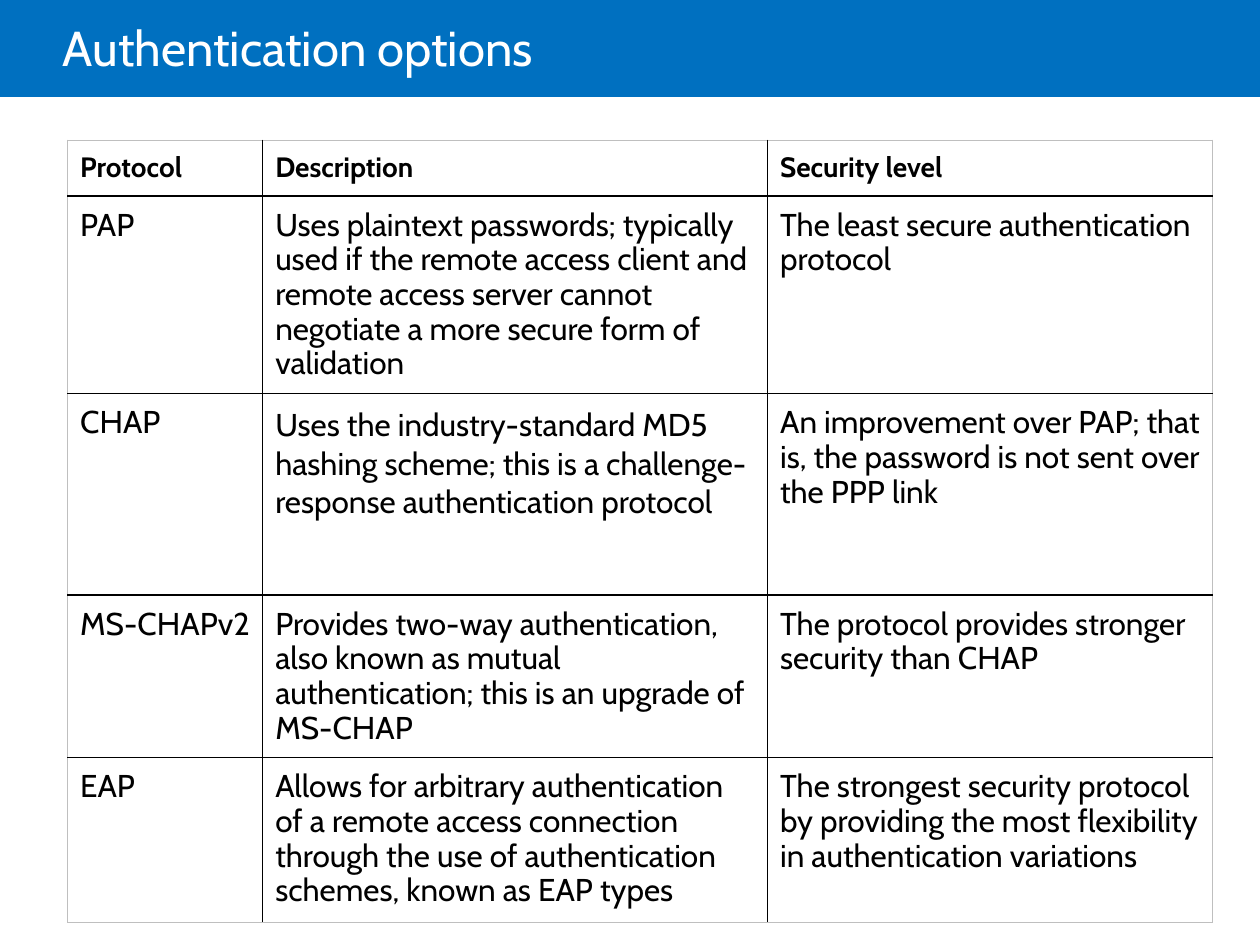
from dataclasses import dataclass

from lxml import etree
from pptx import Presentation
from pptx.dml.color import RGBColor
from pptx.enum.shapes import MSO_SHAPE
from pptx.enum.text import MSO_ANCHOR
from pptx.oxml.ns import qn
from pptx.util import Pt

RECTANGLE = MSO_SHAPE.RECTANGLE
TOP, MIDDLE = MSO_ANCHOR.TOP, MSO_ANCHOR.MIDDLE


@dataclass(frozen=True)
class Theme:
    font: str = "Cabin"
    band: str = "0070C0"
    title_text: str = "FFFFFF"
    text: str = "000000"
    inner_line: str = "000000"
    outer_line: str = "BFBFBF"
    title_size: int = 28
    header_size: int = 16
    body_size: int = 18


THEME = Theme()
COLUMN_WIDTHS = (111.5, 288.5, 254.5)
ROW_HEIGHTS = (32, 113, 115, 93, 94)
ROWS = (
    ("Protocol", "Description", "Security level"),
    ("PAP",
     "Uses plaintext passwords; typically used if the remote access client and "
     "remote access server cannot negotiate a more secure form of validation",
     "The least secure authentication protocol"),
    ("CHAP",
     "Uses the industry-standard MD5 hashing scheme; this is a "
     "challenge-response authentication protocol",
     "An improvement over PAP; that is, the password is not sent over the PPP link"),
    ("MS-CHAPv2",
     "Provides two-way authentication, also known as mutual authentication; "
     "this is an upgrade of MS-CHAP",
     "The protocol provides stronger security than CHAP"),
    ("EAP",
     "Allows for arbitrary authentication of a remote access connection through "
     "the use of authentication schemes, known as EAP types",
     "The strongest security protocol by providing the most flexibility in "
     "authentication variations"),
)
LOOSE_CELL = (2, 1)  # the one cell set with full line spacing


def style_paragraph(paragraph, size, color, line_spacing, bold=False):
    font = paragraph.font
    font.name, font.size, font.bold = THEME.font, Pt(size), bold
    font.color.rgb = RGBColor.from_string(color)
    paragraph.line_spacing = line_spacing


def add_title(slide, left, top, width, height):
    band = slide.shapes.add_shape(RECTANGLE, Pt(left), Pt(top), Pt(width), Pt(height))
    band.shadow.inherit = False
    band.fill.solid()
    band.fill.fore_color.rgb = RGBColor.from_string(THEME.band)
    band.line.fill.background()

    title = slide.shapes.add_textbox(Pt(left + 36), Pt(top), Pt(612), Pt(height + 3))
    frame = title.text_frame
    frame.word_wrap = True
    frame.vertical_anchor = MIDDLE
    frame.margin_left = 0
    frame.text = "Authentication options"
    style_paragraph(frame.paragraphs[0], THEME.title_size, THEME.title_text, 0.85)


def set_borders(cell, outer_sides):
    """Draw black lines inside the table and pale ones along its edge."""
    properties = cell._tc.get_or_add_tcPr()
    for side in "LRTB":
        outer = side in outer_sides
        line = etree.SubElement(properties, qn(f"a:ln{side}"),
                                w=str(Pt(0.5 if outer else 1)))
        fill = etree.SubElement(line, qn("a:solidFill"))
        etree.SubElement(fill, qn("a:srgbClr"),
                         val=THEME.outer_line if outer else THEME.inner_line)


def add_protocol_table(slide, left, top):
    row_count, column_count = len(ROWS), len(COLUMN_WIDTHS)
    table = slide.shapes.add_table(
        row_count, column_count, Pt(left), Pt(top),
        Pt(sum(COLUMN_WIDTHS)), Pt(sum(ROW_HEIGHTS))).table
    table.horz_banding = False
    for column, width in zip(table.columns, COLUMN_WIDTHS):
        column.width = Pt(width)
    for row, height in zip(table.rows, ROW_HEIGHTS):
        row.height = Pt(height)

    for row, texts in enumerate(ROWS):
        header = row == 0
        for column, text in enumerate(texts):
            cell = table.cell(row, column)
            cell.text = text
            cell.vertical_anchor = MIDDLE if header else TOP
            cell.margin_left = cell.margin_right = Pt(7.2)
            cell.margin_top = cell.margin_bottom = Pt(7.2)
            edges = {"L": column == 0, "R": column == column_count - 1,
                     "T": header, "B": row == row_count - 1}
            set_borders(cell, [side for side, outer in edges.items() if outer])
            cell.fill.background()
            style_paragraph(
                cell.text_frame.paragraphs[0],
                THEME.header_size if header else THEME.body_size, THEME.text,
                1.0 if (row, column) == LOOSE_CELL else 0.9, bold=header)


def main():
    presentation = Presentation()
    presentation.slide_width, presentation.slide_height = Pt(720), Pt(540)
    slide = presentation.slides.add_slide(presentation.slide_layouts[6])
    add_title(slide, 0, 0, 720, 55.4)
    add_protocol_table(slide, 38.6, 80)
    presentation.save("out.pptx")


if __name__ == "__main__":
    main()
